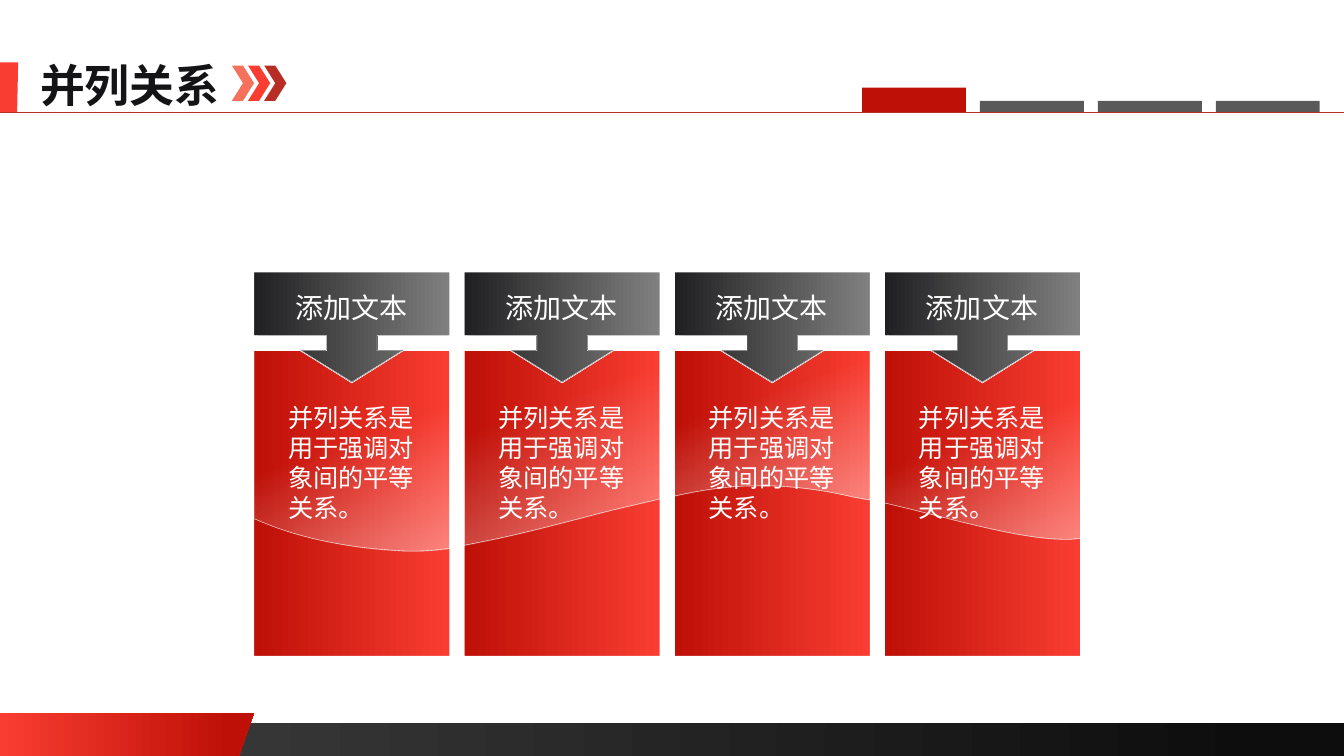
from dataclasses import dataclass

from lxml.etree import SubElement
from pptx import Presentation
from pptx.dml.color import RGBColor
from pptx.enum.shapes import MSO_CONNECTOR as Connector, MSO_SHAPE as Preset
from pptx.enum.text import MSO_AUTO_SIZE as AutoSize
from pptx.oxml.ns import qn
from pptx.util import Inches, Pt


@dataclass(frozen=True)
class Theme:
    font: str = "Noto Sans CJK SC"
    title_size: int = 32
    label_size: int = 20
    body_size: int = 18
    leading: float = 1.19
    hairline: float = 0.25
    rule_width: float = 0.5
    ink: str = "141316"
    white: str = "FFFFFF"
    bright: str = "F93D32"
    deep: str = "BE1007"
    brick: str = "B82E24"
    coral: str = "F5715B"
    tab: str = "595959"
    header: tuple = ("202022", "808080")
    footer: tuple = ("404040", "0D0D0D")


THEME = Theme()
LABEL = "添加文本"
BODY = ("并列关系是", "用于强调对", "象间的平等", "关系。")
WAVES = (
    (54, ((1.94, 1.96), (1.77, 1.98), (1.64, 1.99), (1.51, 1.99), (1.39, 1.98),
          (0.9, 1.95), (0.41, 1.85), (0.01, 1.67), (0, 1.67))),
    (68, ((1.94, 1.47), (1.47, 1.58), (1, 1.7), (0.53, 1.83), (0.1, 1.91),
          (0, 1.93))),
    (65, ((1.94, 1.48), (1.77, 1.45), (1.43, 1.37), (1.09, 1.33), (0.79, 1.34),
          (0.57, 1.34), (0.34, 1.37), (0.1, 1.42), (0, 1.44))),
    (54, ((1.94, 1.86), (1.84, 1.87), (1.41, 1.88), (0.82, 1.71), (0.21, 1.56),
          (0, 1.51))),
)


def paint(shape, *colours, end=100, angle=0, alphas=(), outline=None):
    shape.shadow.inherit = False
    if len(colours) == 1:
        shape.fill.solid()
        shape.fill.fore_color.rgb = RGBColor.from_string(colours[0])
    else:
        shape.fill.gradient()
        shape.fill.gradient_angle = angle
        for stop, colour, place in zip(shape.fill.gradient_stops, colours, (0, end)):
            stop.color.rgb = RGBColor.from_string(colour)
            stop.position = place / 100
        tints = shape.element.xpath(".//a:gsLst//a:srgbClr")
        for tint, alpha in zip(tints, alphas):
            SubElement(tint, qn("a:alpha"), val=str(alpha * 1000))
    if outline:
        shape.line.color.rgb = RGBColor.from_string(outline)
        shape.line.width = Pt(THEME.hairline)
    else:
        shape.line.fill.background()


def add_preset(shapes, preset, left, top, width, height, *colours, **options):
    shape = shapes.add_shape(
        preset, Inches(left), Inches(top), Inches(width), Inches(height))
    paint(shape, *colours, **options)


def add_outline(shapes, left, top, points, *colours, **options):
    corners = [(Inches(left + x), Inches(top + y)) for x, y in points]
    builder = shapes.build_freeform(*corners[0])
    builder.add_line_segments(corners[1:], close=True)
    paint(builder.convert_to_shape(), *colours, **options)


def add_text(shapes, left, top, width, height, lines, size, colour, bold=False):
    box = shapes.add_textbox(
        Inches(left), Inches(top), Inches(width), Inches(height))
    frame = box.text_frame
    frame.word_wrap = False
    frame.auto_size = AutoSize.SHAPE_TO_FIT_TEXT
    frame.text = "\n".join(lines)
    for para in frame.paragraphs:
        para.line_spacing = Pt(size * THEME.leading)
        para.font.size = Pt(size)
        para.font.bold = bold
        para.font.color.rgb = RGBColor.from_string(colour)
        para.font.name = THEME.font
    for properties in box.element.xpath(".//a:defRPr"):
        SubElement(properties, qn("a:ea"), typeface=THEME.font)


def smooth_wave(points, steps=16):
    curve = list(points[:2])
    for index in range(1, len(points) - 2, 3):
        knots = points[index:index + 4]
        for step in range(1, steps + 1):
            t = step / steps
            weights = ((1 - t) ** 3, 3 * t * (1 - t) ** 2, 3 * t * t * (1 - t), t ** 3)
            curve.append(tuple(
                sum(weight * knot[axis] for weight, knot in zip(weights, knots))
                for axis in (0, 1)))
    return curve + [points[-1]]


def draw_footer(page, top, width, height):
    add_preset(page.shapes, Preset.RECTANGLE, 0, top + 0.1, width, height - 0.1,
               *THEME.footer, end=94)
    add_outline(page.shapes, 0, top,
                ((0, 0), (2.52, 0), (2.37, height), (0, height)),
                THEME.bright, THEME.deep, end=91)


def draw_heading(page, top, width):
    add_outline(page.shapes, 0, top, ((0, 0), (0.18, 0), (0.17, 0.5), (0, 0.5)),
                THEME.bright)
    add_text(page.shapes, 0.3, top - 0.09, 2, 0.64, ["并列关系"],
             THEME.title_size, THEME.ink, bold=True)
    rule = page.shapes.add_connector(
        Connector.STRAIGHT, 0, Inches(top + 0.49), Inches(width), Inches(top + 0.49))
    rule.line.color.rgb = RGBColor.from_string(THEME.brick)
    rule.line.width = Pt(THEME.rule_width)
    SubElement(rule.element.spPr, qn("a:effectLst"))
    chevrons = page.shapes.add_group_shape().shapes
    for index, colour in enumerate((THEME.coral, THEME.bright, THEME.brick)):
        add_preset(chevrons, Preset.CHEVRON, 2.3 + 0.16 * index, top + 0.03,
                   0.22, 0.35, colour)


def draw_tabs(page, left, bottom, count=4, pitch=1.17, width=1.03):
    for index in range(count):
        height, colour = (0.11, THEME.tab) if index else (0.24, THEME.deep)
        add_preset(page.shapes, Preset.RECTANGLE, left + pitch * index,
                   bottom - height, width, height, colour)


def draw_card(page, left, top, wave, fade, width=1.94, height=3.81):
    card = page.shapes.add_group_shape().shapes
    middle = width / 2
    gap_top, body_top = 0.63, 0.78
    notch = ((0, 0), (middle - 0.51, 0), (middle, 0.32), (middle + 0.51, 0), (width, 0))
    depth = height - body_top
    add_outline(card, left, top + body_top, notch + ((width, depth), (0, depth)),
                THEME.deep, THEME.bright, outline=THEME.white)
    arrow = ((0, 0), (width, 0), (width, gap_top), (middle + 0.25, gap_top),
             (middle + 0.25, body_top), (middle + 0.5, body_top), (middle, 1.09),
             (middle - 0.5, body_top), (middle - 0.25, body_top),
             (middle - 0.25, gap_top), (0, gap_top))
    add_outline(card, left, top, arrow, *THEME.header, outline=THEME.white)
    add_outline(card, left, top + body_top, list(notch) + smooth_wave(wave),
                THEME.white, THEME.white, end=fade, angle=110, alphas=(37, 0),
                outline=THEME.white)
    add_text(card, left + 0.31, top + 0.14, 1.32, 0.44, [LABEL],
             THEME.label_size, THEME.white)
    add_text(card, left + 0.24, top + 1.24, 1.46, 1.31, BODY,
             THEME.body_size, THEME.white)


def draw_cards(page, left, top, pitch):
    for index, (fade, wave) in enumerate(WAVES):
        draw_card(page, left + pitch * index, top, wave, fade)


def main():
    deck = Presentation()
    deck.slide_width, deck.slide_height = Inches(13.33), Inches(7.5)
    page = deck.slides.add_slide(deck.slide_layouts[6])
    draw_footer(page, 7.07, 13.33, 0.43)
    draw_heading(page, 0.62, 13.33)
    draw_tabs(page, 8.55, 1.11)
    draw_cards(page, 2.52, 2.7, 2.085)
    deck.save("out.pptx")


if __name__ == "__main__":
    main()
